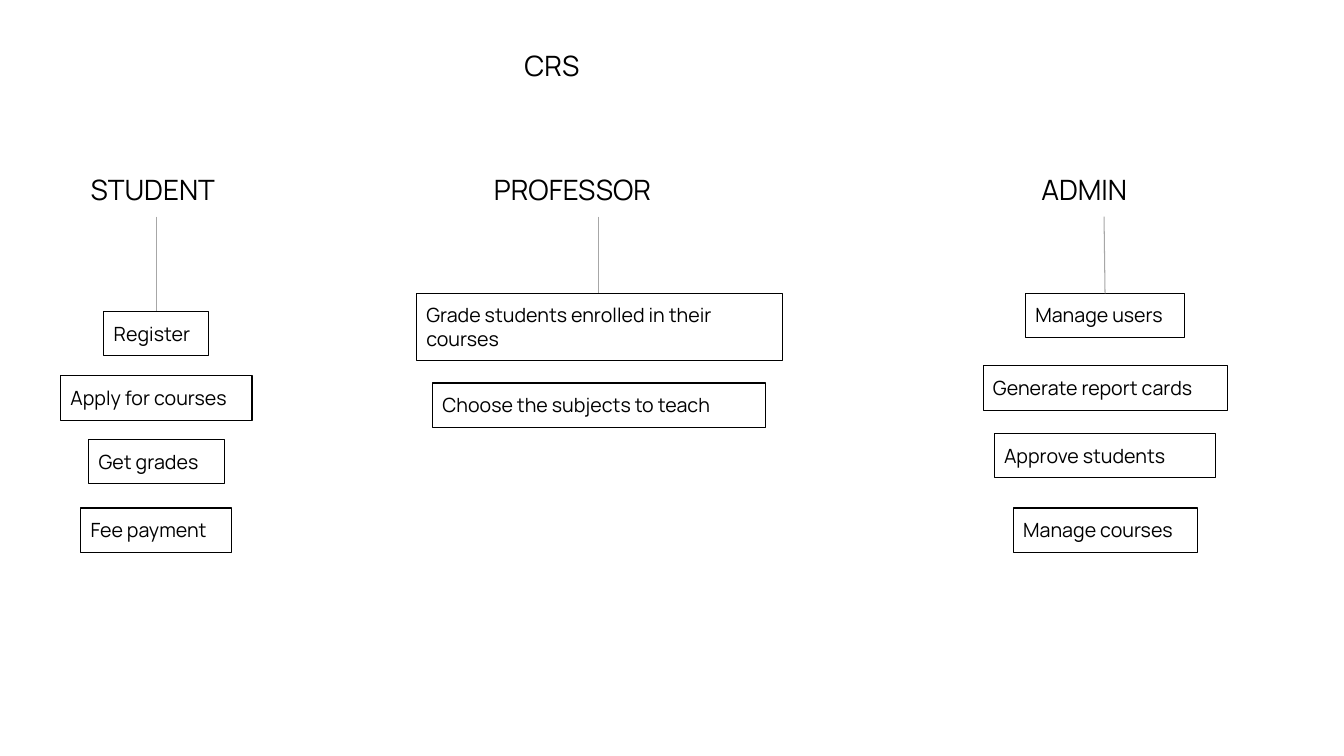
from lxml import etree
from pptx import Presentation
from pptx import util as u
from pptx.dml.color import RGBColor
from pptx.enum import shapes, text

PX = 9144  # EMU per px, 100 px to the inch
FONT = "Manrope"
BLACK, GREY = "000000", "A7A7A7"
HEADING_TOP, HEADING_HEIGHT, BOX_HEIGHT = 161, 54, 44

# Each role: heading centre, column centre, heading width, boxes (text, top, width, height)
ROLES = {
    "STUDENT": (155, 155, 150, [
        ("Register", 309, 104, BOX_HEIGHT),
        ("Apply for courses", 373, 190, BOX_HEIGHT),
        ("Get grades", 436, 135, BOX_HEIGHT),
        ("Fee payment", 504, 150, BOX_HEIGHT),
    ]),
    "PROFESSOR": (594, 594, 229, [
        ("Grade students enrolled in their courses", 291, 363, 67),
        ("Choose the subjects to teach", 380, 330, BOX_HEIGHT),
    ]),
    "ADMIN": (1095, 1096, 144, [
        ("Manage users", 291, 158, BOX_HEIGHT),
        ("Generate report cards", 363, 242, BOX_HEIGHT),
        ("Approve students", 430, 220, BOX_HEIGHT),
        ("Manage courses", 504, 183, BOX_HEIGHT),
    ]),
}


def px(*lengths):
    return [u.Emu(length * PX) for length in lengths]


def colour(hex_string):
    return RGBColor.from_string(hex_string)


def write(shape, words, size=14, color=BLACK, align=text.PP_ALIGN.LEFT):
    frame = shape.text_frame
    frame.word_wrap = True
    frame.auto_size = text.MSO_AUTO_SIZE.NONE
    frame.vertical_anchor = text.MSO_ANCHOR.TOP
    frame.margin_left = frame.margin_top = u.Inches(0.1)
    frame.margin_right = frame.margin_bottom = u.Inches(0.1)
    paragraph = frame.paragraphs[0]
    paragraph.alignment = align
    run = paragraph.add_run()
    run.text = words
    run.font.name, run.font.size = FONT, u.Pt(size)
    run.font.color.rgb = colour(color)


class Diagram:
    def __init__(self, presentation):
        title_only = presentation.slide_layouts[5]
        self.slide = presentation.slides.add_slide(title_only)
        self.line_width = u.Pt(0.75)
        self.heading_size = 20

    def title(self, words, left, top, width, height):
        shape = self.slide.shapes.title
        shape.left, shape.top, shape.width, shape.height = px(left, top, width, height)
        write(shape, words, size=self.heading_size)

    def heading(self, words, centre, width):
        place = px(centre - width // 2, HEADING_TOP, width, HEADING_HEIGHT)
        write(self.slide.shapes.add_textbox(*place), words, size=self.heading_size)

    def box(self, words, centre, top, width, height):
        place = px(centre - width // 2, top, width, height)
        shape = self.slide.shapes.add_shape(shapes.MSO_SHAPE.RECTANGLE, *place)
        shape.shadow.inherit = False
        shape.fill.background()
        shape.line.color.rgb = colour(BLACK)
        shape.line.width = self.line_width
        write(shape, words)

    def link(self, start_x, start_y, end_x, end_y):
        connector = self.slide.shapes.add_connector(
            shapes.MSO_CONNECTOR.STRAIGHT, *px(start_x, start_y, end_x, end_y))
        connector.line.color.rgb = colour(GREY)
        connector.line.width = self.line_width
        properties = connector.element.spPr
        namespace = properties.nsmap["a"]
        etree.SubElement(properties, f"{{{namespace}}}effectLst")


def main():
    presentation = Presentation()
    presentation.slide_width, presentation.slide_height = px(1333, 750)
    diagram = Diagram(presentation)

    # System name
    diagram.title("CRS", 510, 38, 94, 54)

    # One column per role: heading, its boxes, and a line to the first box
    for role, (heading_centre, centre, width, boxes) in ROLES.items():
        diagram.heading(role, heading_centre, width)
        for words, top, box_width, height in boxes:
            diagram.box(words, centre, top, box_width, height)
        first_top = boxes[0][1]
        diagram.link(heading_centre, HEADING_TOP + HEADING_HEIGHT, centre, first_top)

    presentation.save("out.pptx")


if __name__ == "__main__":
    main()
